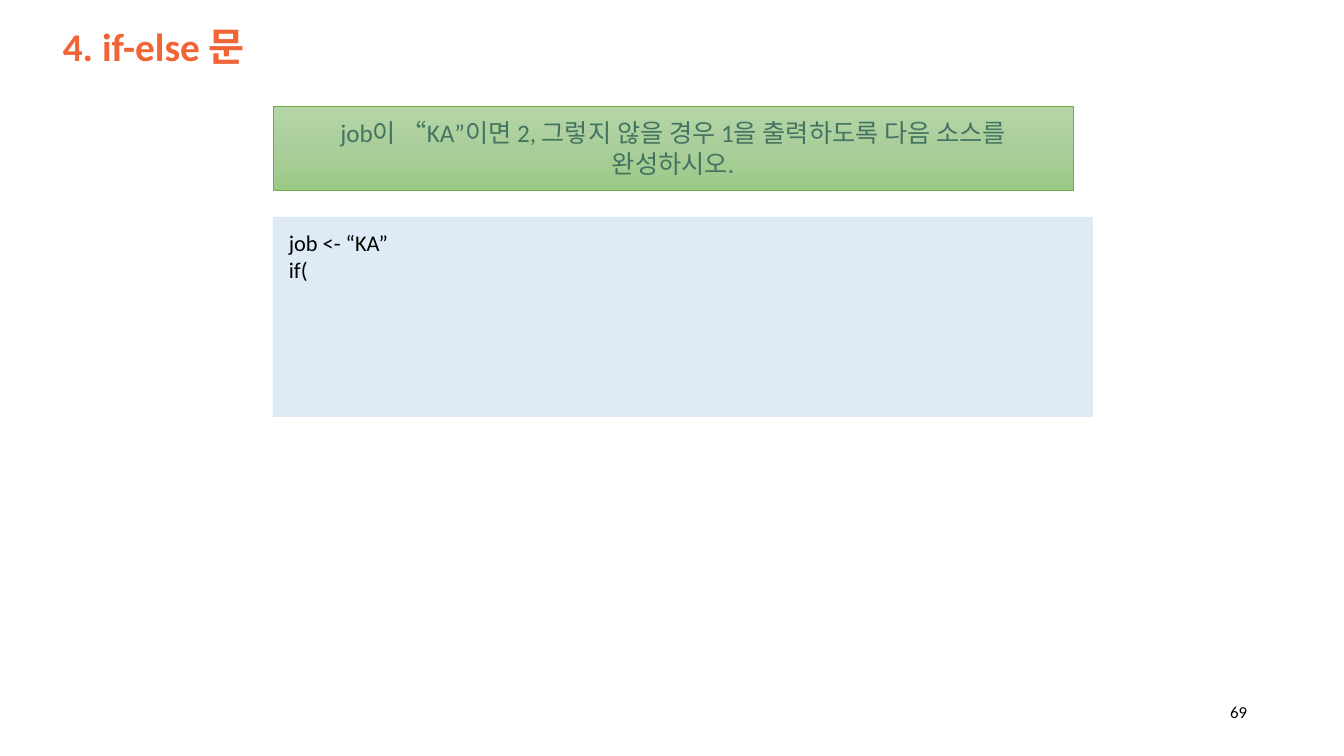
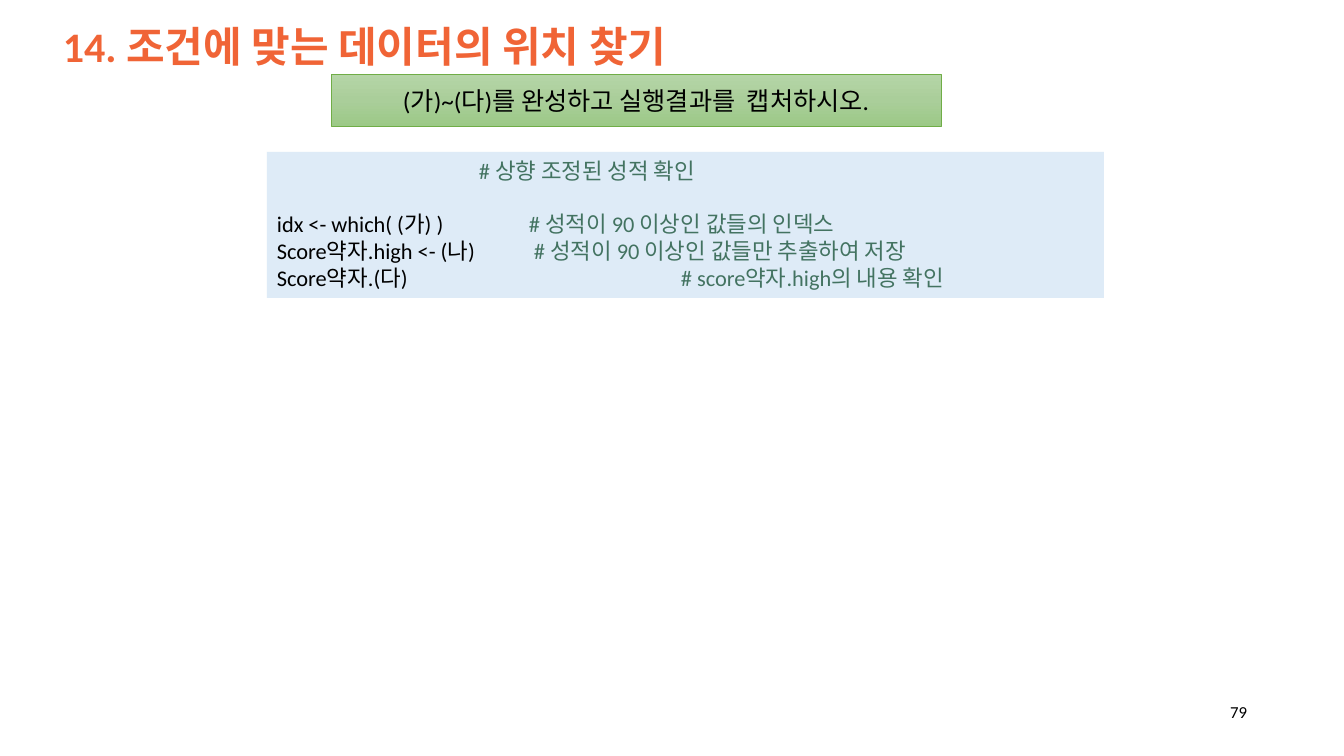
from copy import deepcopy
from dataclasses import dataclass

from lxml import etree
from pptx import Presentation
from pptx.dml.color import RGBColor
from pptx.enum.shapes import MSO_SHAPE
from pptx.enum.text import MSO_ANCHOR, PP_ALIGN
from pptx.oxml.ns import qn
from pptx.util import Emu, Pt

RECT = MSO_SHAPE.RECTANGLE
TOP, MIDDLE = MSO_ANCHOR.TOP, MSO_ANCHOR.MIDDLE
LEFT, CENTER, RIGHT = PP_ALIGN.LEFT, PP_ALIGN.CENTER, PP_ALIGN.RIGHT

SLIDE_W, SLIDE_H = 1344, 756
EMU_PER_PX = 12192000 / SLIDE_W
FONT = "Calibri"
BLACK = RGBColor(0x00, 0x00, 0x00)
ORANGE = RGBColor(0xF0, 0x64, 0x36)
TEAL = RGBColor(0x43, 0x73, 0x61)
PALE_BLUE = RGBColor(0xDE, 0xEB, 0xF7)
GREEN = RGBColor(0x70, 0xAD, 0x47)
GREEN_STOPS = (
    RGBColor(0xB5, 0xD5, 0xA7),
    RGBColor(0xAA, 0xCE, 0x9A),
    RGBColor(0x9C, 0xC9, 0x87),
)


@dataclass(frozen=True)
class Box:
    x: int
    y: int
    w: int
    h: int

    def emu(self) -> tuple:
        return tuple(px(v) for v in (self.x, self.y, self.w, self.h))


@dataclass(frozen=True)
class CodeLine:
    code: str
    note: str = ""
    tab: int = 0
    before: int = 0


@dataclass(frozen=True)
class Exercise:
    title: str
    title_size: int
    task: str
    task_color: RGBColor
    task_box: Box
    panel_box: Box
    code_box: Box
    lines: tuple
    number: str


TITLE_BOX = Box(53, 12, 1244, 74)
NUMBER_BOX = Box(1213, 692, 44, 40)

EXERCISES = (
    Exercise(
        title="4. if-else 문",
        title_size=28,
        task="job이 “KA”이면 2, 그렇지 않을 경우 1을 출력하도록 다음 소스를 완성하시오.",
        task_color=TEAL,
        task_box=Box(273, 106, 800, 84),
        panel_box=Box(273, 217, 820, 200),
        code_box=Box(279, 224, 814, 64),
        lines=(CodeLine("job <- “KA”"), CodeLine("if(")),
        number="69",
    ),
    Exercise(
        title="14. 조건에 맞는 데이터의 위치 찾기",
        title_size=30,
        task="(가)~(다)를 완성하고 실행결과를  캡처하시오.",
        task_color=BLACK,
        task_box=Box(331, 74, 610, 52),
        panel_box=Box(267, 152, 837, 146),
        code_box=Box(267, 152, 837, 146),
        lines=(
            CodeLine("", "# 상향 조정된 성적 확인", 202),
            CodeLine("idx <- which( (가) )", "# 성적이 90 이상인 값들의 인덱스", 252, 19),
            CodeLine("Score약자.high <- (나)", "# 성적이 90 이상인 값들만 추출하여 저장", 257),
            CodeLine("Score약자.(다)", "# score약자.high의 내용 확인", 404),
        ),
        number="79",
    ),
)


def px(n: int) -> Emu:
    return Emu(round(n * EMU_PER_PX))


def add_run(p, text: str, *, size: int, color: RGBColor = BLACK, bold: bool = False) -> None:
    r = p.add_run()
    r.text = text
    r.font.name = FONT
    r.font.size = Pt(size)
    r.font.bold = bold
    r.font.color.rgb = color


def set_frame(sp, anchor):
    tf = sp.text_frame
    tf.word_wrap = True
    tf.vertical_anchor = anchor
    return tf


def write(sp, text: str, *, size: int, color: RGBColor = BLACK, bold: bool = False,
          align=LEFT, spacing: float = 1.0) -> None:
    p = set_frame(sp, MIDDLE).paragraphs[0]
    p.alignment = align
    p.line_spacing = spacing
    add_run(p, text, size=size, color=color, bold=bold)


def add_rect(slide, box: Box):
    sp = slide.shapes.add_shape(RECT, *box.emu())
    sp.shadow.inherit = False
    return sp


def add_panel(slide, box: Box) -> None:
    sp = add_rect(slide, box)
    sp.fill.solid()
    sp.fill.fore_color.rgb = PALE_BLUE
    sp.line.fill.background()


def add_task(slide, box: Box, text: str, color: RGBColor) -> None:
    sp = add_rect(slide, box)
    sp.fill.gradient()
    sp.fill.gradient_angle = 270
    stops = next(sp._element.iter(qn("a:gsLst")))
    stops.insert(1, deepcopy(stops[0]))
    for i, (stop, rgb) in enumerate(zip(sp.fill.gradient_stops, GREEN_STOPS)):
        stop.position = i / 2
        stop.color.rgb = rgb
    sp.line.color.rgb = GREEN
    sp.line.width = Pt(0.5)
    write(sp, text, size=18, color=color, align=CENTER)


def add_tab(p, pos: int) -> None:
    tabs = etree.SubElement(p._p.get_or_add_pPr(), qn("a:tabLst"))
    etree.SubElement(tabs, qn("a:tab"), pos=str(px(pos)), algn="l")


def add_code(slide, box: Box, lines: tuple) -> None:
    tf = set_frame(slide.shapes.add_textbox(*box.emu()), TOP)
    for i, line in enumerate(lines):
        p = tf.add_paragraph() if i else tf.paragraphs[0]
        p.space_before = Pt(line.before)
        if line.note:
            add_tab(p, line.tab)
            add_run(p, line.code + "\t", size=16)
            add_run(p, line.note, size=16, color=TEAL)
        else:
            add_run(p, line.code, size=16)


def add_exercise(prs, ex: Exercise) -> None:
    slide = prs.slides.add_slide(prs.slide_layouts[6])
    write(slide.shapes.add_textbox(*TITLE_BOX.emu()), ex.title,
          size=ex.title_size, color=ORANGE, bold=True, spacing=0.9)
    add_panel(slide, ex.panel_box)
    add_code(slide, ex.code_box, ex.lines)
    write(slide.shapes.add_textbox(*NUMBER_BOX.emu()), ex.number, size=12, align=RIGHT)
    add_task(slide, ex.task_box, ex.task, ex.task_color)


def main() -> None:
    prs = Presentation()
    prs.slide_width, prs.slide_height = px(SLIDE_W), px(SLIDE_H)
    for ex in EXERCISES:
        add_exercise(prs, ex)
    prs.save("out.pptx")


if __name__ == "__main__":
    main()
